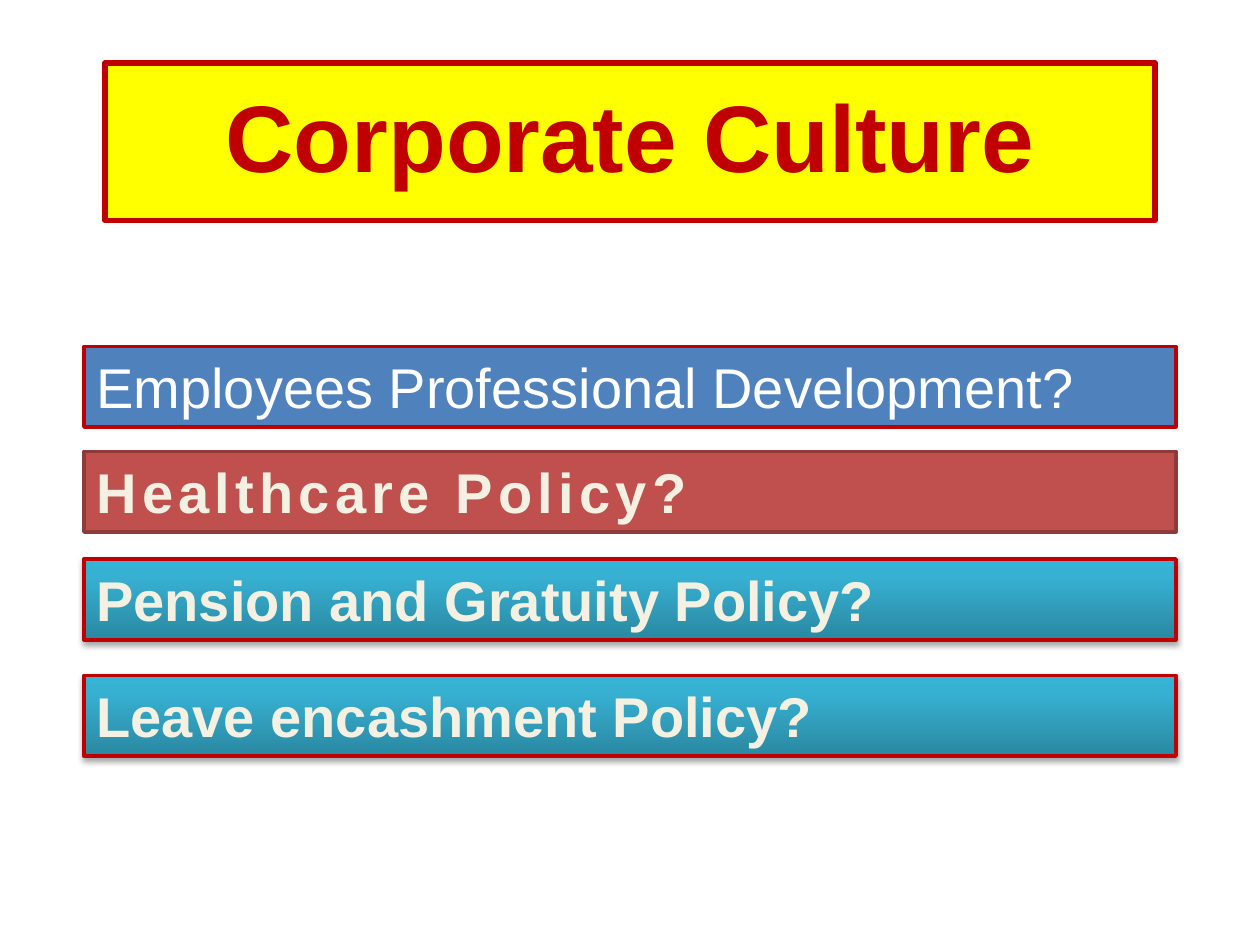
from copy import deepcopy

from lxml.etree import SubElement
from pptx import Presentation
from pptx.dml.color import RGBColor
from pptx.enum.text import MSO_ANCHOR, MSO_AUTO_SIZE, PP_ALIGN
from pptx.oxml.ns import qn
from pptx.util import Pt

COLORS = {
    "yellow": "FFFF00",
    "red": "C00000",
    "blue": "4F81BD",
    "brick": "C0504D",
    "dark_brick": "8E3B39",
    "white": "FFFFFF",
    "cream": "F4F1E3",
    "black": "000000",
    "teal_dark": "2A88A2",
    "teal": "37B1D2",
    "teal_light": "34B4D6",
}
TEAL_STOPS = [(0, "teal_dark"), (0.8, "teal"), (1, "teal_light")]


def rgb(name):
    return RGBColor.from_string(COLORS[name])


def write_text(frame, text, size, color, bold=False, align=PP_ALIGN.LEFT,
               line_spacing=None, tracking=None):
    paragraph = frame.paragraphs[0]
    paragraph.alignment = align
    if line_spacing:
        paragraph.line_spacing = line_spacing
    run = paragraph.add_run()
    run.text = text
    run.font.name = "Arial"
    run.font.size = Pt(size)
    run.font.bold = bold
    run.font.color.rgb = rgb(color)
    if tracking:
        run.font._element.set("spc", str(tracking * 100))


def set_box(shape, left, top, width, height, line, line_width, fill=None):
    shape.left, shape.top = Pt(left), Pt(top)
    shape.width, shape.height = Pt(width), Pt(height)
    shape.line.color.rgb = rgb(line)
    shape.line.width = Pt(line_width)
    if fill:
        shape.fill.solid()
        shape.fill.fore_color.rgb = rgb(fill)


def fill_teal_gradient(shape):
    shape.fill.gradient()
    shape.fill.gradient_angle = 90
    stop_list = shape._element.spPr.find(f".//{qn('a:gsLst')}")
    stop_list.append(deepcopy(stop_list[-1]))
    for stop, (position, color) in zip(shape.fill.gradient_stops, TEAL_STOPS):
        stop.position = position
        stop.color.rgb = rgb(color)


def add_soft_shadow(shape):
    effects = SubElement(shape._element.spPr, qn("a:effectLst"))
    shadow = SubElement(effects, qn("a:outerShdw"), blurRad=str(Pt(3.1)),
                        dist=str(Pt(1.8)), dir="5400000", rotWithShape="0")
    color = SubElement(shadow, qn("a:srgbClr"), val=COLORS["black"])
    SubElement(color, qn("a:alpha"), val="35000")


def add_title(slide, text):
    title = slide.shapes.title
    set_box(title, 60, 36, 600, 90, line="red", line_width=3, fill="yellow")
    frame = title.text_frame
    frame.auto_size = MSO_AUTO_SIZE.NONE
    frame.vertical_anchor = MSO_ANCHOR.MIDDLE
    frame.margin_left = frame.margin_right = Pt(1.5)
    frame.margin_top = frame.margin_bottom = Pt(1.5)
    write_text(frame, text, 54, "red", bold=True, align=PP_ALIGN.CENTER,
               line_spacing=0.9)


def add_policy_bar(slide, text, top, fill=None, line="red", line_width=2.25,
                   color="cream", bold=True, tracking=None):
    """Without a fill colour, the bar gets the shaded teal style."""
    bar = slide.shapes.add_textbox(0, 0, 0, 0)
    set_box(bar, 48, top, 624, 46, line, line_width, fill)
    if not fill:
        fill_teal_gradient(bar)
        add_soft_shadow(bar)
    frame = bar.text_frame
    frame.word_wrap = True
    frame.auto_size = MSO_AUTO_SIZE.SHAPE_TO_FIT_TEXT
    write_text(frame, text, 32, color, bold=bold, tracking=tracking)


def main():
    presentation = Presentation()
    presentation.slide_width, presentation.slide_height = Pt(720), Pt(540)
    slide = presentation.slides.add_slide(presentation.slide_layouts[5])

    add_title(slide, "Corporate Culture")

    # Policy questions
    add_policy_bar(slide, "Employees Professional Development?", 198,
                   fill="blue", line_width=2, color="white", bold=False)
    add_policy_bar(slide, "Healthcare Policy?", 258, fill="brick",
                   line="dark_brick", line_width=2, tracking=3)
    add_policy_bar(slide, "Pension and Gratuity Policy?", 319.5)
    add_policy_bar(slide, "Leave encashment Policy?", 386)

    presentation.save("out.pptx")


if __name__ == "__main__":
    main()
